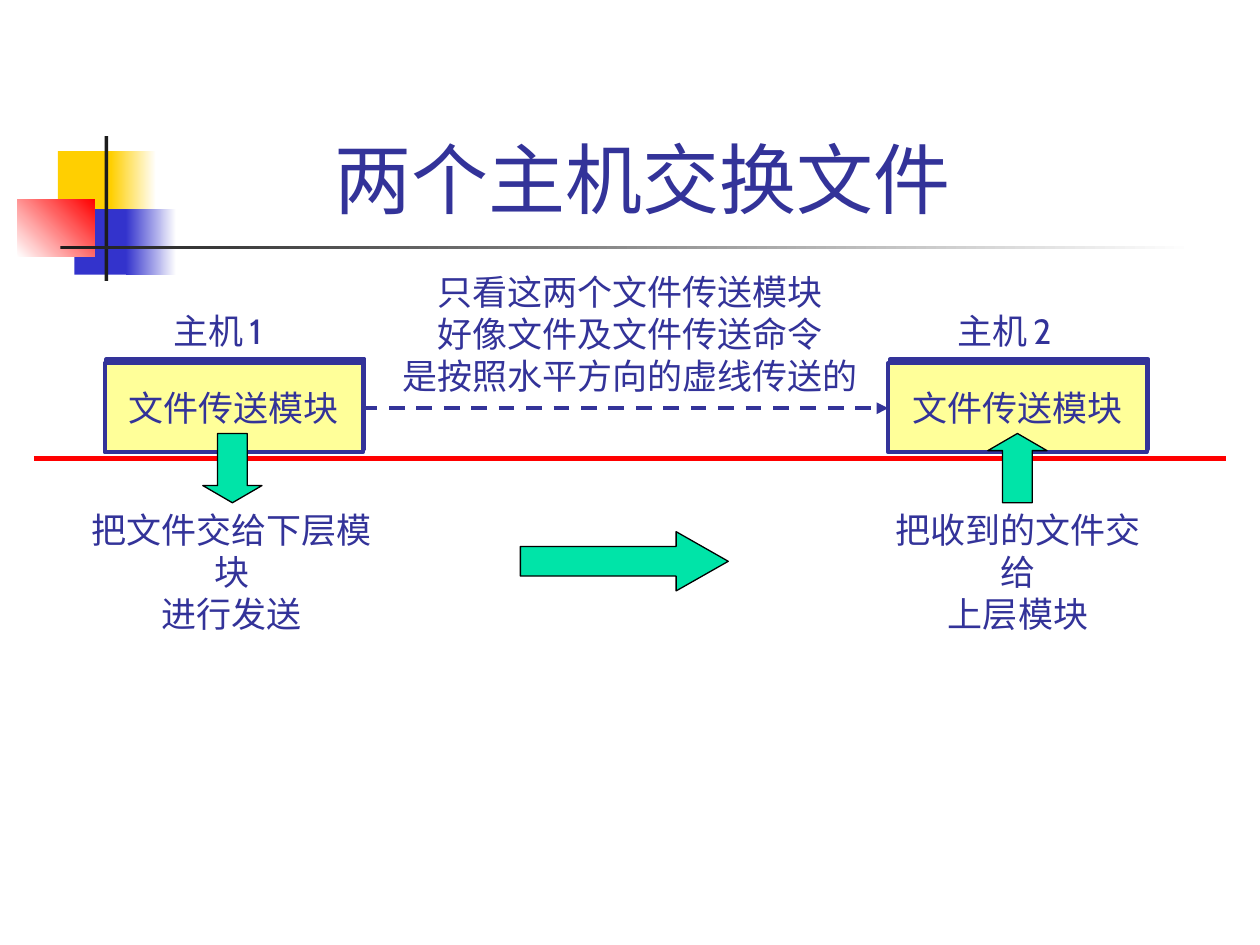
import pptx
import pptx.util
import pptx.dml.color
import pptx.enum.dml
import pptx.enum.shapes
import pptx.enum.text
import pptx.oxml
import pptx.oxml.ns

Inches = pptx.util.Inches
Pt = pptx.util.Pt
Shapes = pptx.enum.shapes.MSO_SHAPE
Align = pptx.enum.text.PP_ALIGN

COLORS = {
    "navy": "333399", "yellow": "FFCF01", "blue": "3333CC", "red": "FF0000",
    "black": "000000", "ink": "1C1C1C", "white": "FFFFFF",
    "module": "FFFF99", "green": "00E4A8",
}


def rgb(name):
    return pptx.dml.color.RGBColor.from_string(COLORS[name])


def drawing_xml(tag, body=""):
    return pptx.oxml.parse_xml(
        f'<a:{tag} {pptx.oxml.ns.nsdecls("a")}>{body}</a:{tag}>')


class SlideBuilder:
    font = "Cabin"
    size = 20
    color = "navy"

    def __init__(self, slide):
        self.slide = slide

    def shape(self, kind, place, fill, line=None, width=0.75):
        shape = self.slide.shapes.add_shape(kind, *map(Inches, place))
        shape.shadow.inherit = False
        shape.fill.solid()
        shape.fill.fore_color.rgb = rgb(fill)
        if line:
            shape.line.color.rgb = rgb(line)
            shape.line.width = Pt(width)
        else:
            shape.line.fill.background()
        return shape

    def gradient(self, place, start, end, angle=0):
        shape = self.shape(Shapes.RECTANGLE, place, start)
        shape.fill.gradient()
        shape.fill.gradient_angle = angle
        for stop, name in zip(shape.fill.gradient_stops, (start, end)):
            stop.color.rgb = rgb(name)

    def module(self, place):
        box = self.shape(Shapes.RECTANGLE, place, "module", "navy", 2.25)
        effects = box._element.spPr.find(pptx.oxml.ns.qn("a:effectLst"))
        shadow = drawing_xml("outerShdw", f'<a:srgbClr val="{COLORS["navy"]}"/>')
        shadow.set("dist", str(Pt(2.2)))
        shadow.set("dir", str(296 * 60000))
        effects.append(shadow)

    def arrow(self, kind, place, head):
        arrow = self.shape(kind, place, "green", "black")
        arrow.adjustments[0] = 0.5
        arrow.adjustments[1] = head

    def line(self, start, end, color, width, dashed_arrow=False):
        line = self.slide.shapes.add_connector(
            pptx.enum.shapes.MSO_CONNECTOR.STRAIGHT,
            *map(Inches, start + end))
        line.line.color.rgb = rgb(color)
        line.line.width = Pt(width)
        if dashed_arrow:
            line.line.dash_style = pptx.enum.dml.MSO_LINE.DASH
            head = drawing_xml("tailEnd")
            head.set("type", "triangle")
            line.line._get_or_add_ln().append(head)
        line._element.spPr.append(drawing_xml("effectLst"))

    def text(self, place, paragraphs, align=Align.CENTER, size=None, font=None):
        """Each paragraph is a list of (text, size) spans or a plain string."""
        box = self.slide.shapes.add_textbox(*map(Inches, place))
        frame = box.text_frame
        frame.word_wrap = False
        for index, content in enumerate(paragraphs):
            para = frame.paragraphs[0] if index == 0 else frame.add_paragraph()
            para.alignment = align
            spans = [(content, size or self.size)] if isinstance(content, str) else content
            for words, points in spans:
                span = para.add_run()
                span.text = words
                span.font.size = Pt(points)
                span.font.name = font or self.font
                span.font.color.rgb = rgb(self.color)
        return frame


def main():
    deck = pptx.Presentation()
    deck.slide_width, deck.slide_height = Inches(10), Inches(7.5)
    page = SlideBuilder(deck.slides.add_slide(deck.slide_layouts[6]))

    # Corner ornament and title rule
    page.shape(Shapes.RECTANGLE, (0.46, 1.2, 0.48, 0.52), "yellow")
    page.gradient((0.88, 1.2, 0.36, 0.52), "yellow", "white")
    page.shape(Shapes.RECTANGLE, (0.59, 1.66, 0.46, 0.52), "blue")
    page.gradient((1, 1.66, 0.4, 0.52), "blue", "white")
    page.gradient((0.14, 1.58, 0.61, 0.46), "white", "red", 45)
    page.shape(Shapes.RECTANGLE, (0.83, 1.08, 0.03, 1.15), "ink")
    page.gradient((0.48, 1.95, 9, 0.03), "ink", "white")

    # Title
    title = page.text((1.26, 0.23, 7.84, 1.6), ["两个主机交换文件"],
                      size=44, font="Arial")
    title.word_wrap = True
    title.vertical_anchor = pptx.enum.text.MSO_ANCHOR.BOTTOM
    title.margin_right = Inches(0.25)

    # The two hosts, each with its file transfer module
    for number, left in (("1", 0.83), ("2", 7.05)):
        page.module((left, 2.88, 2.05, 0.71))
        page.text((left + 0.09, 3.02, 1.87, 0.44), ["文件传送模块"], Align.LEFT)
        page.text((left + 0.45, 2.41, 1, 0.44),
                  [[("主机", 20), (" ", 14), (number, 20)]], Align.LEFT)

    # Virtual horizontal path
    page.line((2.87, 3.24), (7.05, 3.24), "navy", 2.25, dashed_arrow=True)
    page.text((3.09, 2.1, 3.82, 1.1), [
        "只看这两个文件传送模块",
        "好像文件及文件传送命令",
        "是按照水平方向的虚线传送的",
    ])

    # Layer boundary and the real path below it
    page.line((0.27, 3.64), (9.73, 3.64), "red", 3)
    page.arrow(Shapes.DOWN_ARROW, (1.61, 3.44, 0.47, 0.55), 0.29)
    page.arrow(Shapes.UP_ARROW, (7.84, 3.44, 0.47, 0.55), 0.29)
    page.text((0.49, 3.99, 2.7, 0.77), ["把文件交给下层模块", "进行发送"])
    page.text((6.87, 3.99, 2.42, 0.77), ["把收到的文件交给", "上层模块"])
    page.arrow(Shapes.RIGHT_ARROW, (4.13, 4.22, 1.65, 0.47), 0.88)

    deck.save("out.pptx")


if __name__ == "__main__":
    main()
